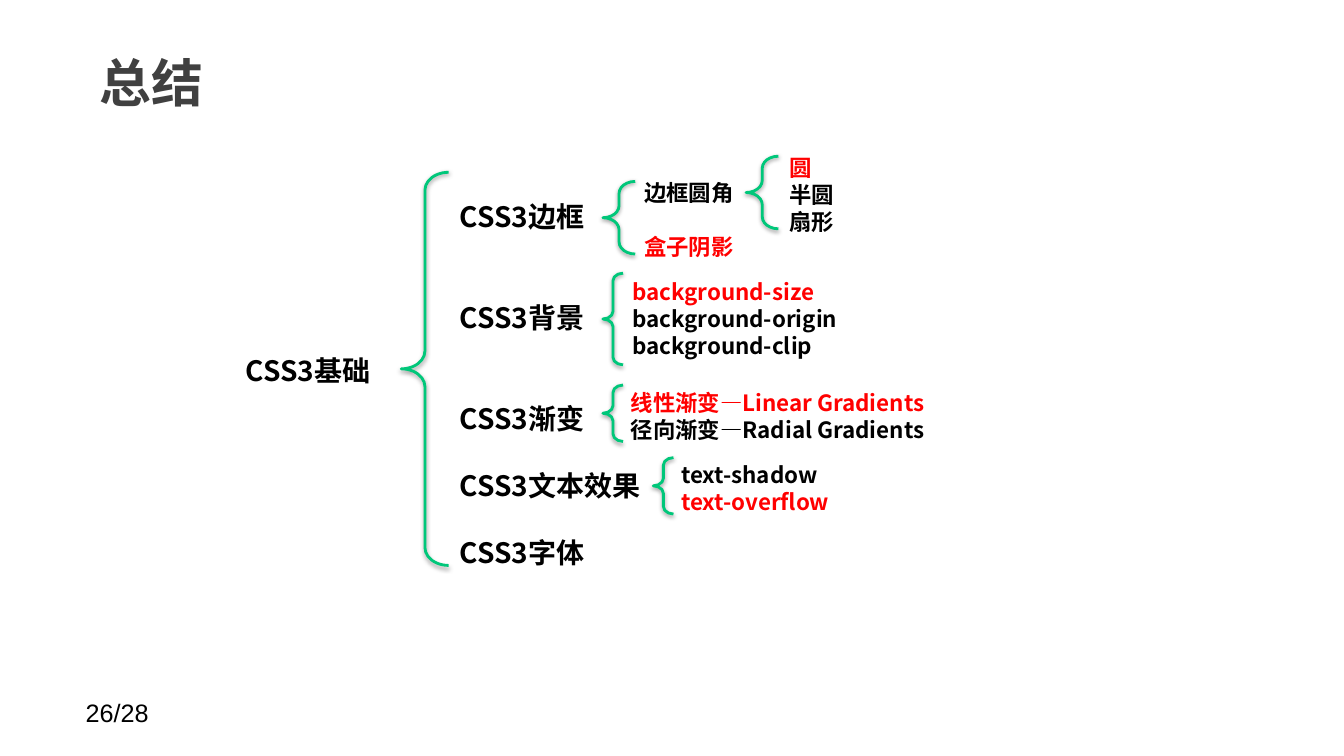
import pptx
import pptx.dml.color
import pptx.enum.shapes
import pptx.enum.text
import pptx.util
from lxml import etree
from pptx.util import Inches, Pt

THEME = {
    "font": "Noto Sans CJK SC", "number_font": "Arial",
    "title": "404040", "text": "000000", "key": "FF0000", "brace": "00C77A",
    "title_size": 37, "branch_size": 20, "leaf_size": 16, "number_size": 18,
    "line_ratio": 1.2, "brace_width": 2,
}

TITLE = "总结"
PAGE = "26/28"
ROOT = "CSS3基础"
# branch, row on the outline grid
BRANCHES = [("CSS3边框", 1), ("CSS3背景", 4), ("CSS3渐变", 7),
            ("CSS3文本效果", 9), ("CSS3字体", 11)]
BRANCH_LEFT, BRANCH_TOP = 4.46, 1.58
# left, top, width, blank lines between, font, [(leaf, is key point)]
LEAVES = [
    (6.29, 1.71, 2.28, 1, "number_font", [("边框圆角", False), ("盒子阴影", True)]),
    (7.73, 1.46, 2.28, 0, "number_font",
     [("圆", True), ("半圆", False), ("扇形", False)]),
    (6.17, 2.69, 2.75, 0, "font",
     [("background-size", True), ("background-origin", False),
      ("background-clip", False)]),
    (6.16, 3.79, 3.84, 0, "font",
     [("线性渐变—Linear Gradients", True), ("径向渐变—Radial Gradients", False)]),
    (6.66, 4.51, 3.84, 0, "font", [("text-shadow", False), ("text-overflow", True)]),
]
# left, top, width, height
BRACES = [
    (3.98, 1.71, 0.47, 3.9),
    (5.98, 1.8, 0.32, 0.72),
    (7.4, 1.55, 0.32, 0.72),
    (5.98, 2.71, 0.2, 0.91),
    (5.98, 3.82, 0.2, 0.56),
    (6.48, 4.54, 0.2, 0.56),
]

A = "http://schemas.openxmlformats.org/drawingml/2006/main"
SHADOW = (f'<a:effectLst xmlns:a="{A}"><a:outerShdw blurRad="39370" dist="20320" '
          'dir="5400000" rotWithShape="0"><a:srgbClr val="000000">'
          '<a:alpha val="38000"/></a:srgbClr></a:outerShdw></a:effectLst>')


def rgb(name):
    return pptx.dml.color.RGBColor.from_string(THEME[name])


def format_run(r, size, color, font="font", bold=True):
    r.font.size = Pt(THEME[size])
    r.font.bold = bold
    r.font.color.rgb = rgb(color)
    r.font.name = THEME[font]
    east_asian = etree.SubElement(r.font._element, f"{{{A}}}ea")
    east_asian.set("typeface", THEME["font"])


def add_box(s, left, top, width, height):
    sp = s.shapes.add_textbox(*map(Inches, (left, top, width, height)))
    sp.text_frame.word_wrap = True
    return sp.text_frame


def line_height(size):
    """Height of one outline line, in inches."""
    return THEME[size] * THEME["line_ratio"] / 72


def add_lines(s, left, top, width, lines, size, font="font", gap=0):
    """Text lines on a fixed pitch; gap counts the lines left free between them."""
    pitch = line_height(size)
    count = len(lines) + gap * (len(lines) - 1)
    tf = add_box(s, left, top, width, count * pitch + 0.1)
    tf.margin_top = Inches(0.07)
    tf.margin_bottom = Inches(0.03)
    for i, (text, is_key) in enumerate(lines):
        p = tf.paragraphs[0] if i == 0 else tf.add_paragraph()
        p.text = text
        p.line_spacing = Pt(pitch * 72)
        if i:
            p.space_before = Pt(gap * pitch * 72)
        format_run(p.runs[0], size, "key" if is_key else "text", font)


def add_brace(s, box):
    sp = s.shapes.add_shape(pptx.enum.shapes.MSO_SHAPE.LEFT_BRACE, *map(Inches, box))
    sp.adjustments[0] = 0.376
    sp.fill.background()
    sp.line.color.rgb = rgb("brace")
    sp.line.width = Pt(THEME["brace_width"])
    sp._element.spPr.append(etree.fromstring(SHADOW))


def main():
    prs = pptx.Presentation()
    prs.slide_width, prs.slide_height = Inches(13.33), Inches(7.5)
    s = prs.slides.add_slide(prs.slide_layouts[6])

    tf = add_box(s, 0.86, 0.3, 10.41, 1.03)
    tf.margin_left = tf.margin_right = Inches(0.13)
    tf.vertical_anchor = pptx.enum.text.MSO_ANCHOR.MIDDLE
    tf.text = TITLE
    format_run(tf.paragraphs[0].runs[0], "title_size", "title")

    tf = add_box(s, 0.75, 6.87, 2.33, 0.4)
    tf.text = PAGE
    format_run(tf.paragraphs[0].runs[0], "number_size", "text", "number_font", False)

    for box in BRACES:
        add_brace(s, box)
    add_lines(s, 2.34, 3.44, 1.75, [(ROOT, False)], "branch_size")
    for name, row in BRANCHES:
        top = BRANCH_TOP + row * line_height("branch_size")
        add_lines(s, BRANCH_LEFT, top, 3.35, [(name, False)], "branch_size")
    for left, top, width, gap, font, lines in LEAVES:
        add_lines(s, left, top, width, lines, "leaf_size", font, gap)

    prs.save("out.pptx")


if __name__ == "__main__":
    main()
